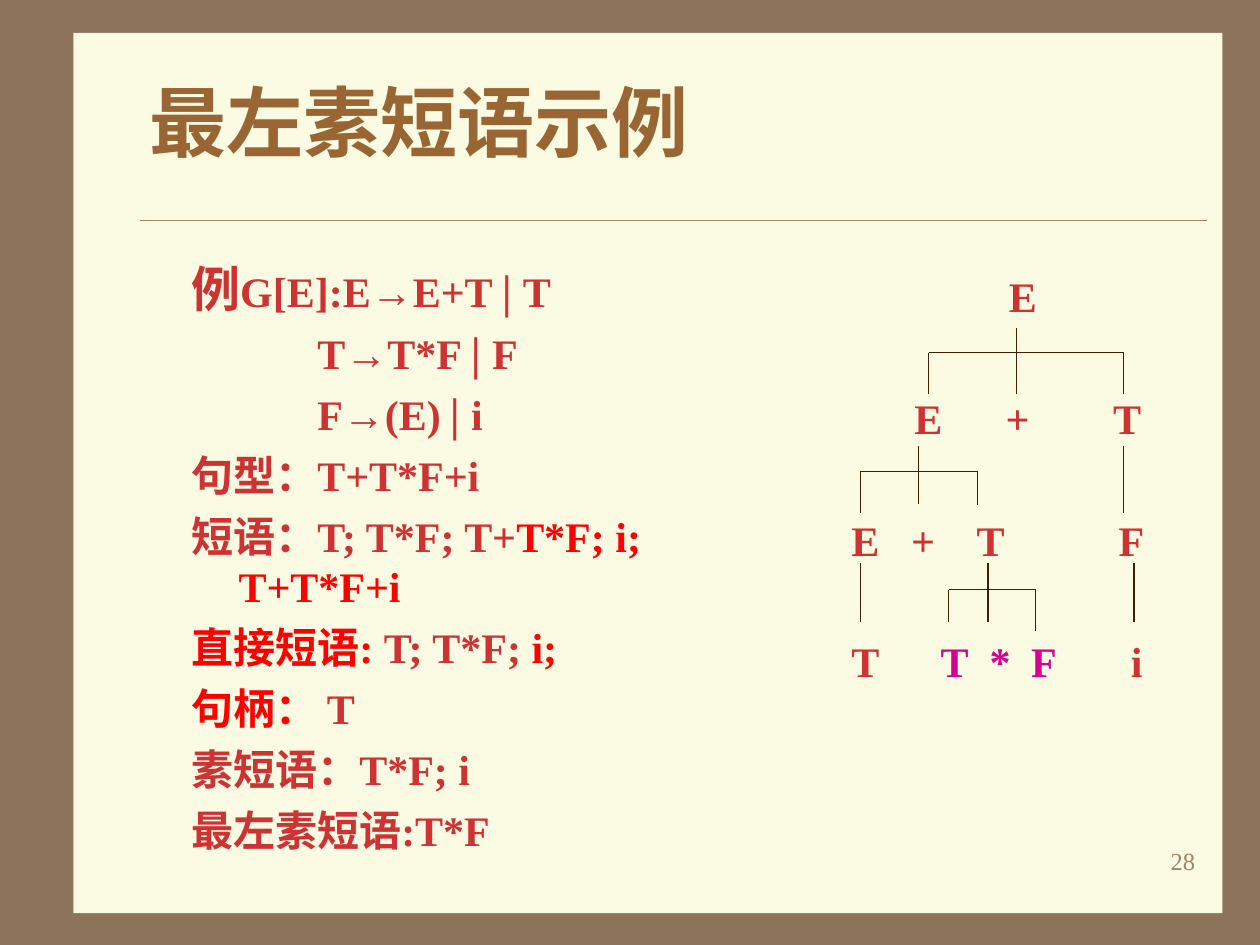
"""Build the slide on leftmost prime phrases with its syntax tree."""
from lxml import etree
from pptx import Presentation
from pptx.dml.color import RGBColor
from pptx.enum.shapes import MSO_CONNECTOR, MSO_SHAPE
from pptx.enum.text import MSO_ANCHOR, PP_ALIGN
from pptx.oxml.ns import qn
from pptx.util import Pt

LINE, RECT = MSO_CONNECTOR.STRAIGHT, MSO_SHAPE.RECTANGLE
LEFT, RIGHT, MIDDLE = PP_ALIGN.LEFT, PP_ALIGN.RIGHT, MSO_ANCHOR.MIDDLE
FACE = "Times New Roman"
BROWN, CREAM, TAN, GOLD = "8C735A", "FBFAE2", "A08366", "996633"
BRICK, RED, PINK, DARK = "CD3333", "FF0000", "D60093", "402000"

TITLE = "最左素短语示例"
HANG, RULE = (27, -27), (72, 0)
NOTES = [
    (HANG, [("例", BRICK, 28), ("G[E]:E→E+T∣T", BRICK, 24)]),
    (RULE, [("T→T*F∣F", BRICK)]),
    (RULE, [("F→(E)∣i", BRICK)]),
    (HANG, [("句型：T+T*F+i", BRICK)]),
    (HANG, [("短语：T; T*F; T+", BRICK), ("T*F; i; T+T*F+i", RED)]),
    (HANG, [("直接短语: ", RED), ("T; T*F; ", BRICK), ("i;", RED)]),
    (HANG, [("句柄： ", RED), ("T", BRICK)]),
    (HANG, [("素短语：T*F; i", BRICK)]),
    (HANG, [("最左素短语:T*F", BRICK)]),
]
TREE = [
    [("E", 584.5, BRICK)],
    [("E", 530.5, BRICK), ("+", 581.5, BRICK), ("T", 644, BRICK)],
    [("E", 494.5, BRICK), ("+", 527.5, BRICK), ("T", 566, BRICK), ("F", 646.5, BRICK)],
    [("T", 494.5, BRICK), ("T", 545.5, PINK), ("*", 571.5, PINK),
     ("F", 596.5, PINK), ("i", 649.5, BRICK)],
]
STEMS = [
    (581, 187.2, 225.4), (524.9, 254.9, 288), (564.5, 321.8, 355.7),
    (642.2, 254.9, 293), (491.8, 321.8, 355.7), (648, 321.8, 355.7),
]
FORKS = [
    (201.6, (530.6, 201.6, 225.4), (642.2, 201.6, 225.4)),
    (269.3, (491.8, 269.3, 293), (558.7, 269.3, 288.7)),
    (337, (542.2, 337, 355.7), (591.8, 337, 360.7)),
]


def color(text):
    return RGBColor.from_string(text)


def style(par, size, bold=True, hue=None):
    par.font.name, par.font.size, par.font.bold = FACE, Pt(size), bold
    if hue:
        par.font.color.rgb = color(hue)


def add_run(par, text, hue, size=None):
    run = par.add_run()
    run.text = text
    run.font.color.rgb = color(hue)
    if size:
        run.font.size = Pt(size)


def add_box(slide, *area):
    frame = slide.shapes.add_textbox(*map(Pt, area)).text_frame
    frame.word_wrap = True
    return frame


def add_line(slide, x1, y1, x2, y2, hue=DARK, width=0.75):
    line = slide.shapes.add_connector(LINE, Pt(x1), Pt(y1), Pt(x2), Pt(y2))
    line.line.color.rgb = color(hue)
    line.line.width = Pt(width)
    etree.SubElement(line._element.spPr, qn("a:effectLst"))


def next_par(frame, row, gap):
    if row == 0:
        return frame.paragraphs[0]
    par = frame.add_paragraph()
    par.space_before = Pt(gap)
    return par


def add_page(slide):
    fill = slide.background.fill
    fill.solid()
    fill.fore_color.rgb = color(BROWN)
    page = slide.shapes.add_shape(RECT, Pt(42), Pt(18.8), Pt(656.5), Pt(503))
    page.shadow.inherit = False
    page.fill.solid()
    page.fill.fore_color.rgb = color(CREAM)
    page.line.fill.background()
    slide.shapes._spTree.insert(2, page._element)
    add_line(slide, 80, 126, 690, 126, TAN, 0.25)
    par = add_box(slide, 540, 480, 150, 36).paragraphs[0]
    par.text, par.alignment = "28", RIGHT
    style(par, 14, False, TAN)


def add_title(slide):
    title = slide.shapes.title
    title.left, title.top, title.width, title.height = map(Pt, (78, 36, 612, 66))
    title.text_frame.text = TITLE
    title.text_frame.vertical_anchor = MIDDLE
    par = title.text_frame.paragraphs[0]
    par.alignment = LEFT
    style(par, 44, hue=GOLD)


def add_notes(slide):
    frame = add_box(slide, 102.24, 144, 360, 348)
    for row, ((margin, indent), parts) in enumerate(NOTES):
        par = next_par(frame, row, 6)
        props = par._p.get_or_add_pPr()
        props.set("marL", str(Pt(margin)))
        props.set("indent", str(Pt(indent)))
        style(par, 24)
        for part in parts:
            add_run(par, *part)


def add_tree(slide):
    left = 468
    frame = add_box(slide, left, 151.2, 204, 252)
    frame.margin_left = frame.margin_right = 0
    for row, nodes in enumerate(TREE):
        par = next_par(frame, row, 40.7)
        tabs = etree.SubElement(par._p.get_or_add_pPr(), qn("a:tabLst"))
        for name, mid, hue in nodes:
            etree.SubElement(tabs, qn("a:tab"), pos=str(Pt(mid - left)), algn="ctr")
            add_run(par, "\t" + name, hue)
        style(par, 24)
    for x, top, end in STEMS:
        add_line(slide, x, top, x, end)
    for bar, *drops in FORKS:
        add_line(slide, drops[0][0], bar, drops[-1][0], bar)
        for x, top, end in drops:
            add_line(slide, x, top, x, end)


def main():
    deck = Presentation()
    deck.slide_width, deck.slide_height = Pt(720), Pt(540)
    slide = deck.slides.add_slide(deck.slide_layouts[5])
    add_page(slide)
    add_title(slide)
    add_notes(slide)
    add_tree(slide)
    deck.save("out.pptx")


if __name__ == "__main__":
    main()
